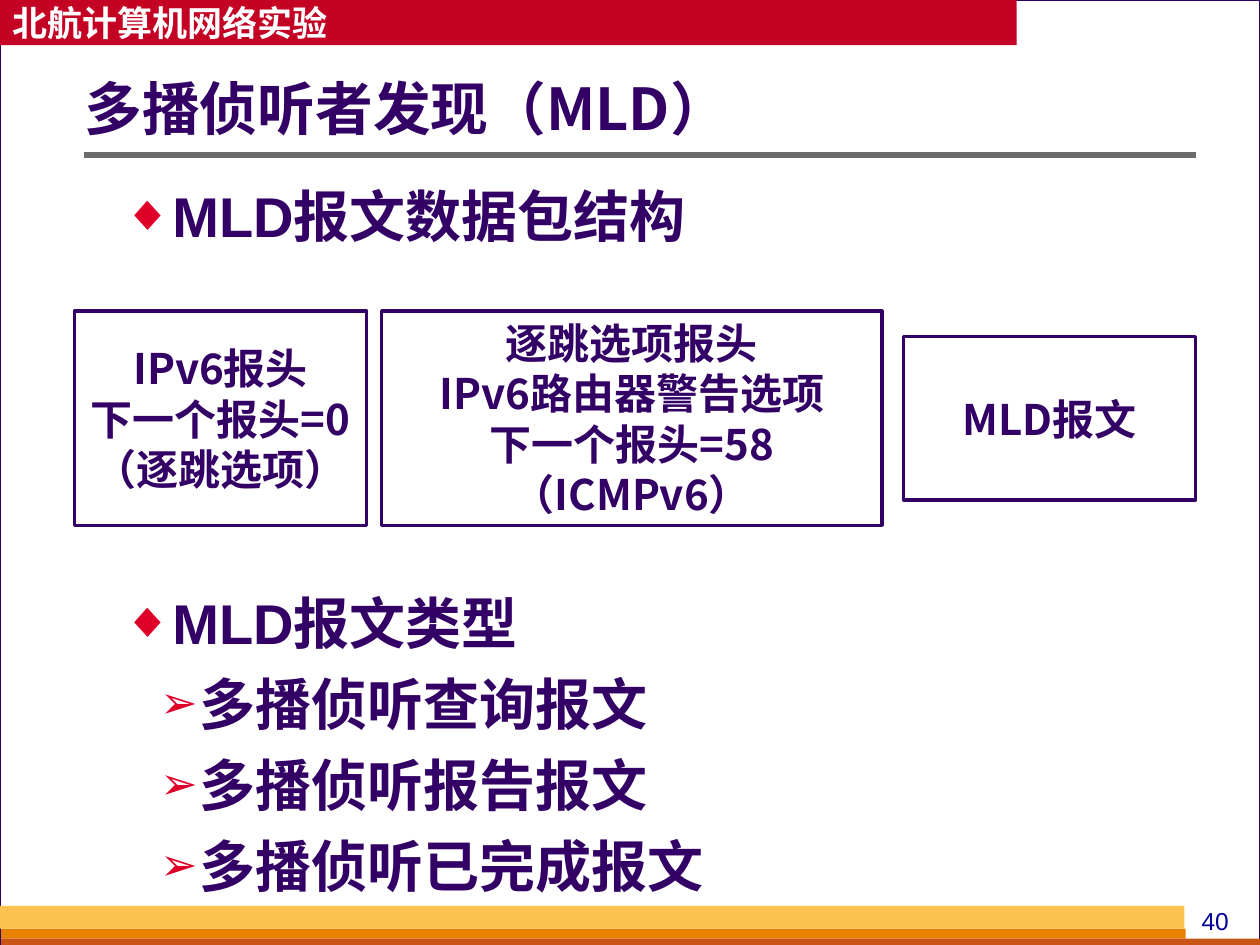
from pptx import Presentation
from pptx.dml.color import RGBColor
from pptx.enum.shapes import MSO_CONNECTOR as Connector, MSO_SHAPE as Shape
from pptx.enum.text import MSO_ANCHOR as Anchor, MSO_AUTO_SIZE as AutoSize, PP_ALIGN as Align
from pptx.oxml.ns import qn
from pptx.util import Emu, Inches, Pt
from lxml.etree import SubElement

COLORS = {
    "ink": "330066", "paper": "FFFFFF", "backdrop": "D8DADA", "banner": "C30224",
    "gold": "FCC24F", "orange": "E88000", "rust": "C95616",
    "rule": "6B6B6B", "bullet": "DF0029", "number": "000099",
}
CJK = "Noto Sans CJK SC"
LATIN = "Arial"
COLUMNS, ROWS = 100, 75


class SlideBuilder:
    def __init__(self, deck):
        self.deck = deck
        self.page = deck.slides.add_slide(deck.slide_layouts[1])
        self.fill(self.page.background, "backdrop")

    def grid(self, left, top, width, height):
        column = self.deck.slide_width / COLUMNS
        row = self.deck.slide_height / ROWS
        return [Emu(round(n * unit)) for n, unit in
                zip((left, top, width, height), (column, row, column, row))]

    def color(self, name):
        return RGBColor.from_string(COLORS[name])

    def fill(self, target, name):
        target.fill.solid()
        target.fill.fore_color.rgb = self.color(name)

    def rectangle(self, area, fill=None, line=None, weight=1):
        box = self.page.shapes.add_shape(Shape.RECTANGLE, *self.grid(*area))
        box.shadow.inherit = False
        if fill:
            self.fill(box, fill)
        else:
            box.fill.background()
        if line:
            box.line.color.rgb = self.color(line)
            box.line.width = Pt(weight)
        else:
            box.line.fill.background()
        return box

    def frame(self, box, anchor):
        frame = box.text_frame
        frame.word_wrap = True
        frame.auto_size = AutoSize.NONE
        frame.vertical_anchor = anchor
        return frame

    def run(self, para, text, size, color="ink", font=CJK, bold=True):
        span = para.add_run()
        span.text = text
        span.font.size = Pt(size)
        span.font.bold = bold
        span.font.name = font
        span.font.color.rgb = self.color(color)
        SubElement(span.font._element, qn("a:ea"), typeface=CJK)

    def put_lines(self, box, lines, align=Align.LEFT, anchor=Anchor.MIDDLE, **style):
        frame = self.frame(box, anchor)
        for index, line in enumerate(lines):
            para = frame.add_paragraph() if index else frame.paragraphs[0]
            para.alignment = align
            self.run(para, line, **style)
        return frame

    def label(self, area, text, **style):
        box = self.page.shapes.add_textbox(*self.grid(*area))
        self.put_lines(box, [text], Align.CENTER, Anchor.TOP, **style)

    def rule(self, left, right, row):
        x, y, width, _ = self.grid(left, row, right - left, 0)
        line = self.page.shapes.add_connector(Connector.STRAIGHT, x, y, x + width, y)
        line.line.color.rgb = self.color("rule")
        line.line.width = Pt(3)
        SubElement(line._element.spPr, qn("a:effectLst"))

    def placeholder(self, box, area):
        box.left, box.top, box.width, box.height = self.grid(*area)
        box._element.getparent().append(box._element)
        return box

    def title(self, area, text):
        box = self.placeholder(self.page.shapes.title, area)
        frame = self.put_lines(box, [text], size=33)
        frame.margin_left = 0
        frame.paragraphs[0].line_spacing = 0.9

    def bullet(self, para, symbol, percent, margin):
        props = para._p.get_or_add_pPr()
        props.set("marL", str(Inches(margin)))
        props.set("indent", str(Inches(-0.31)))
        tint = SubElement(props, qn("a:buClr"))
        SubElement(tint, qn("a:srgbClr"), val=COLORS["bullet"])
        SubElement(props, qn("a:buSzPct"), val=str(percent * 1000))
        SubElement(props, qn("a:buFont"), typeface=LATIN)
        SubElement(props, qn("a:buChar"), char=symbol)

    def body(self, area, items):
        box = self.placeholder(self.page.placeholders[1], area)
        frame = self.frame(box, Anchor.TOP)
        bullets = [("◆", 90, 0.51), ("➢", 80, 0.81)]
        for index, (level, space, text) in enumerate(items):
            para = frame.add_paragraph() if index else frame.paragraphs[0]
            para.level = level
            para.space_before = Pt(space)
            self.bullet(para, *bullets[level])
            self.run(para, text, 32, font=LATIN)

    def packet_part(self, left, width, center, height, lines):
        box = self.rectangle((left, center - height / 2, width, height),
                             line="ink", weight=2)
        self.put_lines(box, lines, Align.CENTER, size=24)


def main():
    deck = Presentation()
    deck.slide_width, deck.slide_height = Inches(10), Inches(7.5)
    slide = SlideBuilder(deck)

    slide.rectangle((0, 0, 100, 75), "paper", "ink", 0.75)
    banner = slide.rectangle((0, 0, 80.7, 3.6), "banner")
    slide.put_lines(banner, ["北航计算机网络实验"], size=20, color="paper")
    for area, color in [((0.1, 73.7, 94, 0.8), "orange"),
                        ((0.1, 74.5, 99.9, 0.5), "rust"),
                        ((0, 71.9, 94, 1.8), "gold")]:
        slide.rectangle(area, color)
    slide.label((93.3, 71.4, 6.3, 3.4), "40", size=14, color="number",
                font=LATIN, bold=False)
    slide.rule(6.7, 94.9, 12.3)

    slide.title((6.7, 4.6, 88.2, 8.5), "多播侦听者发现（MLD）")
    slide.body((6.7, 13.9, 88.2, 61.1), [
        (0, 0, "MLD报文数据包结构"),
        (0, 194, "MLD报文类型"),
        (1, 8, "多播侦听查询报文"),
        (1, 8, "多播侦听报告报文"),
        (1, 8, "多播侦听已完成报文"),
    ])
    for left, width, height, lines in [
        (5.9, 23.2, 17, ["IPv6报头", "下一个报头=0", "（逐跳选项）"]),
        (30.3, 39.7, 17, ["逐跳选项报头", "IPv6路由器警告选项", "下一个报头=58（ICMPv6）"]),
        (71.7, 23.2, 13, ["MLD报文"]),
    ]:
        slide.packet_part(left, width, 33.2, height, lines)
    deck.save("out.pptx")


if __name__ == "__main__":
    main()
